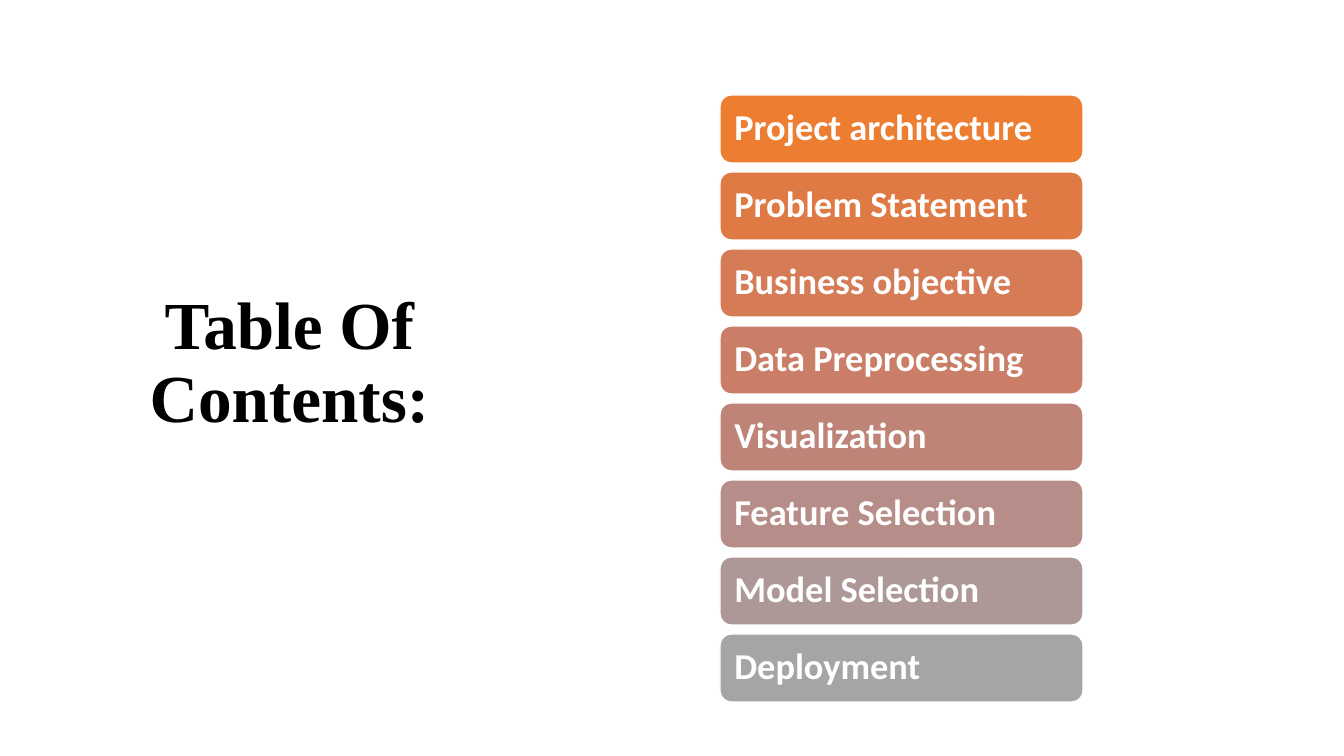
"""Build a contents slide: a title on the left, a column of coloured bars on the right."""
from pptx import Presentation
from pptx.dml.color import RGBColor
from pptx.enum.shapes import MSO_SHAPE as Shape
from pptx.enum.text import MSO_ANCHOR as Anchor, PP_ALIGN as Align
from pptx.util import Pt

TITLE = "Table Of Contents:"
TOPICS = [
    ("Project architecture", "ED7D31"),
    ("Problem Statement", "E07A44"),
    ("Business objective", "D57B56"),
    ("Data Preprocessing", "CA7E67"),
    ("Visualization", "BF8478"),
    ("Feature Selection", "B68D88"),
    ("Model Selection", "AD9897"),
    ("Deployment", "A5A5A5"),
]
SLIDE_SIZE = (1344, 756)
TITLE_BOX = (134, 49, 311, 631)
BAR_LEFT, BAR_TOP, BAR_WIDTH, BAR_HEIGHT = 720, 95, 363, 68
BAR_STEP = 77
BAR_INSET = 11
EMU_PER_PX = 914400 / 100.8


def px(length):
    return round(length * EMU_PER_PX)


def color(hex_string):
    return RGBColor.from_string(hex_string)


def write(shape, text, font_name, size, hex_string, align):
    frame = shape.text_frame
    frame.word_wrap = True
    frame.vertical_anchor = Anchor.MIDDLE
    para = frame.paragraphs[0]
    para.text = text
    para.alignment = align
    para.line_spacing = 0.9
    font = para.font
    font.name, font.size, font.bold = font_name, Pt(size), True
    font.color.rgb = color(hex_string)
    return frame


def add_title(page):
    title = page.shapes.title
    title.left, title.top, title.width, title.height = map(px, TITLE_BOX)
    write(title, TITLE, "Times New Roman", 48, "000000", Align.CENTER)


def add_bar(page, index, topic, fill):
    top = BAR_TOP + index * BAR_STEP
    bar = page.shapes.add_shape(
        Shape.ROUNDED_RECTANGLE, *map(px, (BAR_LEFT, top, BAR_WIDTH, BAR_HEIGHT)))
    bar.shadow.inherit = False
    bar.fill.solid()
    bar.fill.fore_color.rgb = color(fill)
    bar.line.color.rgb = color("FFFFFF")
    bar.line.width = Pt(1)
    frame = write(bar, topic, "Calibri", 26, "FFFFFF", Align.LEFT)
    frame.margin_left = frame.margin_right = px(BAR_INSET)
    frame.margin_top = frame.margin_bottom = px(BAR_INSET)


def main():
    deck = Presentation()
    deck.slide_width, deck.slide_height = map(px, SLIDE_SIZE)
    page = deck.slides.add_slide(deck.slide_layouts[5])
    add_title(page)
    for index, (topic, fill) in enumerate(TOPICS):
        add_bar(page, index, topic, fill)
    deck.save("out.pptx")


if __name__ == "__main__":
    main()
